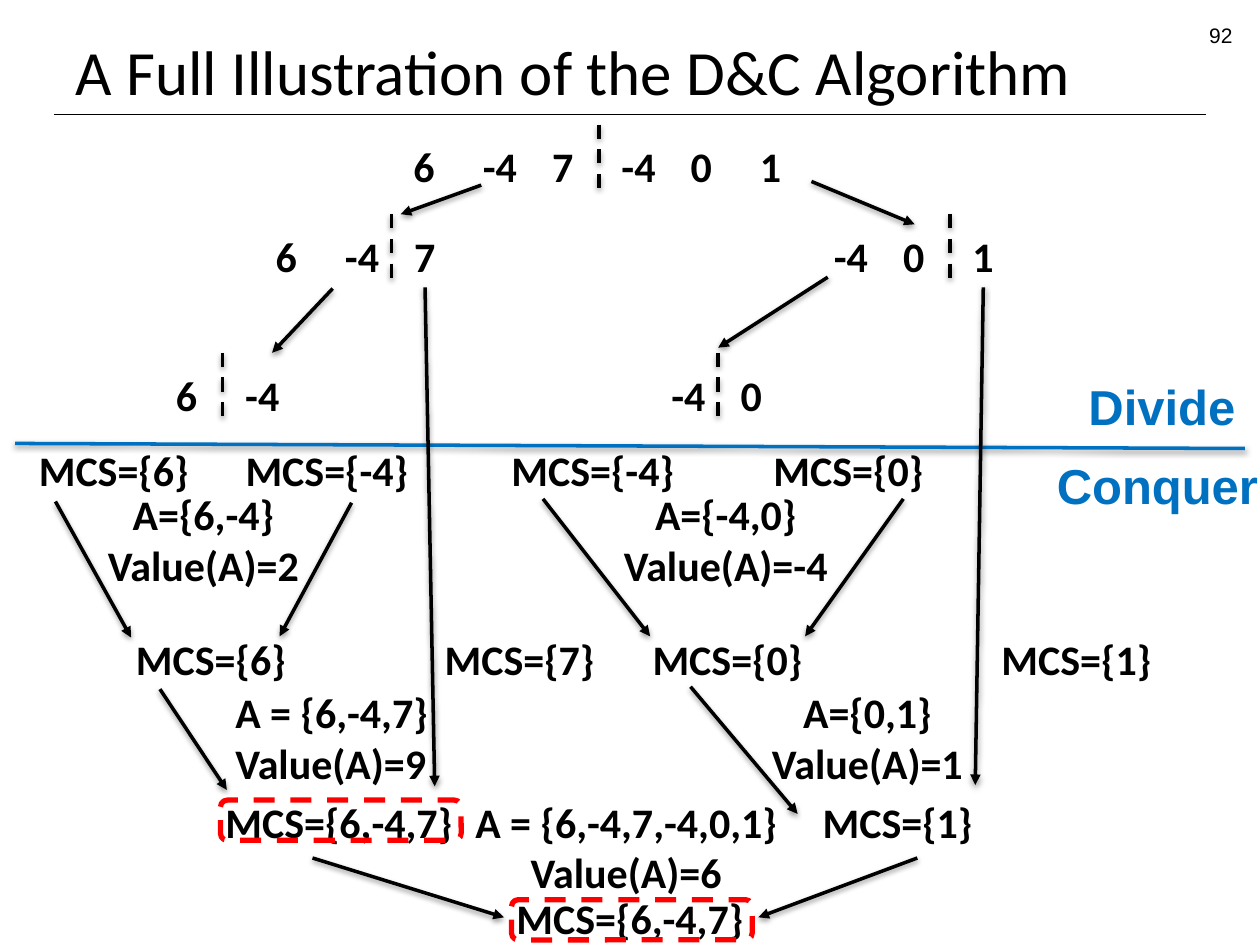
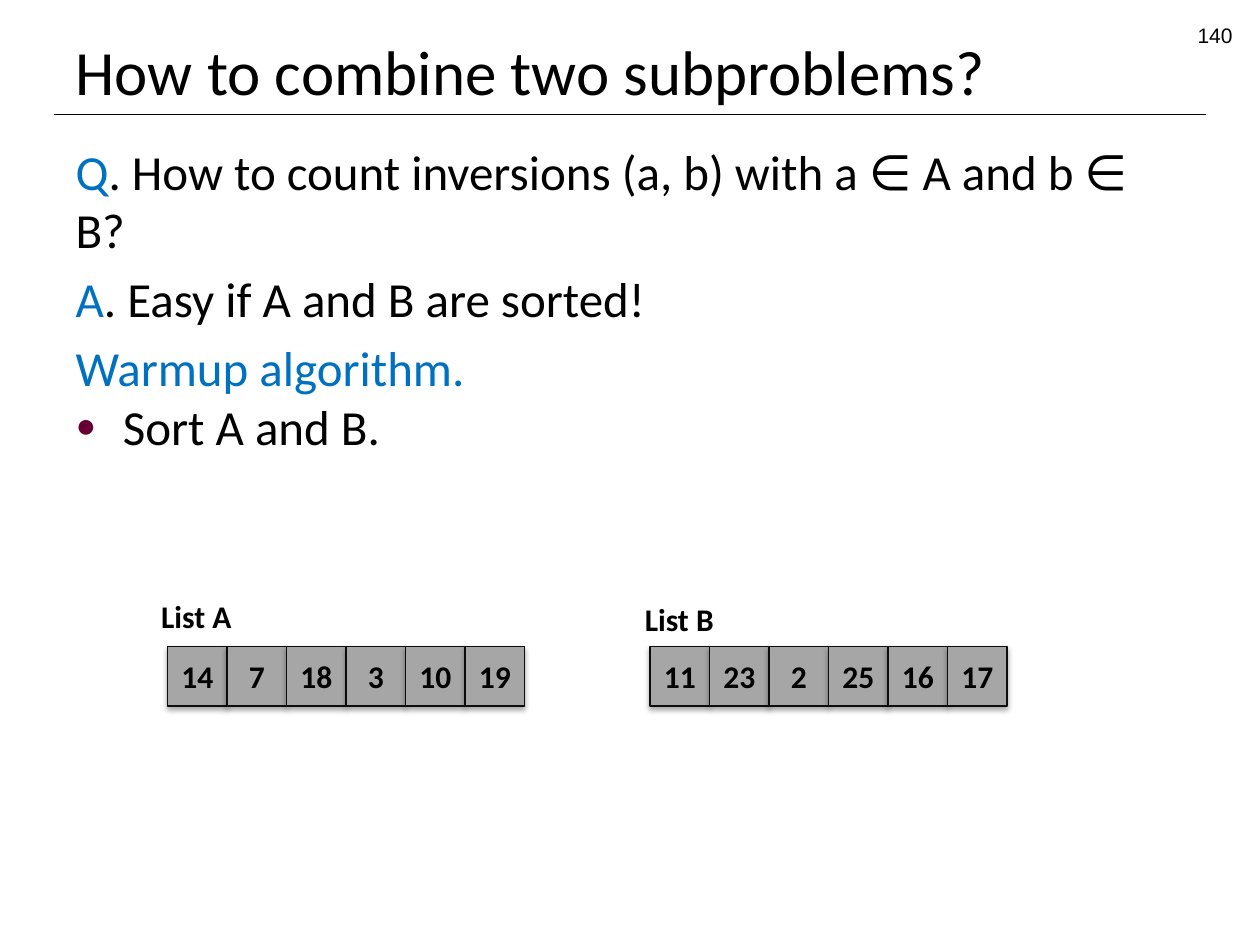
"""Build two lecture slides on divide and conquer: a recursion diagram and a combine step."""
from lxml import etree
from pptx import Presentation
from pptx import util as u
from pptx.dml import color as dml
from pptx.enum import dml as line_styles
from pptx.enum import shapes, text
from pptx.oxml import ns

Pt = u.Pt
hex_color = dml.RGBColor.from_string
BLACK, BLUE, RED, GRAY, PLUM = "000000", "0070C0", "FF0000", "A6A6A6", "660033"
DASH = line_styles.MSO_LINE.DASH
LEFT, CENTER, RIGHT = text.PP_ALIGN.LEFT, text.PP_ALIGN.CENTER, text.PP_ALIGN.RIGHT
SHADOW = (
    '<a:outerShdw xmlns:a="http://schemas.openxmlformats.org/drawingml/2006/main" '
    'blurRad="40000" dist="{}" dir="5400000" rotWithShape="0">'
    '<a:srgbClr val="000000"><a:alpha val="{}"/></a:srgbClr></a:outerShdw>'
)


def add_label(slide, box, lines, size=24, color=BLACK, font="Calibri", bold=True, align=LEFT):
    """Add an unwrapped text box with one paragraph per line."""
    label = slide.shapes.add_textbox(*[Pt(length) for length in box])
    frame = label.text_frame
    frame.word_wrap = False
    for index, line in enumerate(lines):
        paragraph = frame.add_paragraph() if index else frame.paragraphs[0]
        paragraph.alignment = align
        run = paragraph.add_run()
        run.text = line
        run.font.name, run.font.size, run.font.bold = font, Pt(size), bold
        run.font.color.rgb = hex_color(color)
    return label


def add_line(slide, points, color=BLACK, width=2, dash=None, arrow=False, shadow=True):
    """Add a straight line through (x1, y1, x2, y2)."""
    line = slide.shapes.add_connector(shapes.MSO_CONNECTOR.STRAIGHT, *[Pt(p) for p in points])
    line.line.color.rgb = hex_color(color)
    line.line.width = Pt(width)
    if dash:
        line.line.dash_style = dash
    properties = line._element.spPr
    if arrow:
        etree.SubElement(properties.find(ns.qn("a:ln")), ns.qn("a:tailEnd"), type="triangle")
    effects = etree.SubElement(properties, ns.qn("a:effectLst"))
    if shadow:
        effects.append(etree.fromstring(SHADOW.format(20000, 38000)))
    return line


presentation = Presentation()
presentation.slide_width, presentation.slide_height = Pt(720), Pt(540)

slides = []
for layout, title, number in [
    (5, "A Full Illustration of the D&C Algorithm", "92"),
    (1, "How to combine two subproblems?", "140"),
]:
    slide = presentation.slides.add_slide(presentation.slide_layouts[layout])
    slides.append(slide)
    heading = slide.shapes.title
    heading.left, heading.top, heading.width, heading.height = Pt(36), Pt(9.4), Pt(648), Pt(56)
    frame = heading.text_frame
    frame.auto_size = text.MSO_AUTO_SIZE.NONE
    frame.vertical_anchor = text.MSO_ANCHOR.BOTTOM
    frame.paragraphs[0].alignment = LEFT
    run = frame.paragraphs[0].add_run()
    run.text = title
    run.font.name, run.font.size = "Calibri", Pt(36)
    run.font.color.rgb = hex_color(BLACK)
    add_line(slide, (31, 65.5, 689, 65.5), width=0.75, shadow=False)
    page_number = add_label(slide, (543.6, 9.4, 167.8, 20), [number], 12,
                            font="Arial", bold=False, align=RIGHT)
    page_number.text_frame.word_wrap = True

illustration, combine = slides

NUMBER_STEP = 39.6
last_numbers = []
for left, top, values, split in [
    (229.2, 77, ["6", "-4", "7", "-4", "0", "1"], 3),
    (150.4, 128.2, ["6", "-4", "7"], 2),
    (469.4, 128.2, ["-4", "0", "1"], 2),
    (93.4, 207.4, ["6", "-4"], 1),
    (376.5, 207.4, ["-4", "0"], 1),
]:
    for index, value in enumerate(values):
        width = 34.6 if value == "-4" else 26.6
        label = add_label(illustration, (left + index * NUMBER_STEP, top, width, 36), [value])
    last_numbers.append(label)
    split_x = left + split * NUMBER_STEP - 5.8
    add_line(illustration, (split_x, top - 5.8, split_x, top + 31.9), dash=DASH)

add_line(illustration, (8.6, 253.4, 711.4, 256.3), BLUE)
add_label(illustration, (614.9, 211.7, 100.1, 41), ["Divide"], 28, BLUE, "Arial")
add_label(illustration, (596.9, 257, 131.8, 41), ["Conquer"], 28, BLUE, "Arial")

MCS_WIDTHS = {1: 100.8, 2: 108.7, 6: 145.4}
for left, top, members in [
    (15.1, 250.6, "6"), (133.2, 250.6, "-4"), (285.1, 250.6, "-4"), (434.9, 250.6, "0"),
    (70.6, 358.6, "6"), (247, 358.6, "7"), (365.8, 358.6, "0"), (565.2, 358.6, "1"),
    (121.7, 451.4, "6,-4,7"), (463, 451.4, "1"), (288, 506.2, "6,-4,7"),
]:
    best_set = add_label(illustration, (left, top, MCS_WIDTHS[len(members)], 36),
                         [f"MCS={{{members}}}"])
final_set = best_set

for left, top, width, crossing, value, align in [
    (54, 275.8, 124.6, "A={6,-4}", 2, CENTER),
    (348.5, 275.8, 132.5, "A={-4,0}", -4, CENTER),
    (127.4, 388.8, 125.3, "A = {6,-4,7}", 9, LEFT),
    (433.4, 388.8, 124.6, "A={0,1}", 1, CENTER),
    (263.5, 451.4, 188.6, "A = {6,-4,7,-4,0,1}", 6, CENTER),
]:
    add_label(illustration, (left, top, width, 65.5), [crossing, f"Value(A)={value}"], align=align)

for points in [
    (275, 105.8, 229, 122.4), (463.7, 103.7, 522.7, 128.2),
    (190.1, 164.9, 155.5, 201.6), (473, 158.4, 410.4, 198.7),
    (31.7, 286.6, 74.9, 364.3), (200.9, 287.3, 159.8, 363.6),
    (310.3, 285.1, 371.5, 363.6), (516.2, 285.1, 460.1, 363.6),
    (91.4, 393.8, 129.6, 451.4), (394.6, 392.4, 455.8, 465.1),
]:
    add_line(illustration, points, arrow=True)

for number, points in zip(last_numbers[1:3], [(243.4, 164.9, 248.4, 449.3),
                                              (562.3, 164.2, 557.3, 448.6)]):
    add_line(illustration, points, arrow=True).begin_connect(number, 2)

for side, points in [(1, (178.6, 490.3, 288, 524.2)), (3, (524.2, 490.3, 433.4, 524.2))]:
    add_line(illustration, points, arrow=True).end_connect(final_set, side)

for left, top in [(292.3, 514.1), (126, 457.2)]:
    highlight = illustration.shapes.add_shape(
        shapes.MSO_SHAPE.ROUNDED_RECTANGLE, Pt(left), Pt(top), Pt(137.5), Pt(23))
    highlight.shadow.inherit = False
    highlight.fill.background()
    highlight.line.color.rgb = hex_color(RED)
    highlight.line.width = Pt(3)
    highlight.line.dash_style = DASH

body = combine.placeholders[1]
body.left, body.top, body.width, body.height = Pt(36), Pt(77), Pt(648), Pt(448)
frame = body.text_frame
frame.auto_size = text.MSO_AUTO_SIZE.NONE
for index, (lead, rest, bulleted) in enumerate([
    ("Q", ". How to count inversions (a, b) with a ∈ A and b ∈ B?", False),
    ("A", ". Easy if A and B are sorted!", False),
    ("Warmup algorithm.", "", False),
    ("", "Sort A and B.", True),
]):
    paragraph = frame.add_paragraph() if index else frame.paragraphs[0]
    for words, color in [(lead, BLUE), (rest, BLACK)]:
        if words:
            run = paragraph.add_run()
            run.text = words
            run.font.name, run.font.size = "Calibri", Pt(28)
            run.font.color.rgb = hex_color(color)
    properties = paragraph._p.get_or_add_pPr()
    indent = Pt(27) if bulleted else 0
    properties.set("marL", str(indent))
    properties.set("indent", str(-indent))
    if bulleted:
        paragraph.space_before = Pt(0)
        bullet_color = etree.SubElement(properties, ns.qn("a:buClr"))
        etree.SubElement(bullet_color, ns.qn("a:srgbClr"), val=PLUM)
        etree.SubElement(properties, ns.qn("a:buSzPct"), val="70000")
        etree.SubElement(properties, ns.qn("a:buChar"), char="●")
    else:
        etree.SubElement(properties, ns.qn("a:buNone"))

CELL = 34
for name, label_left, label_top, left, values in [
    ("List A", 85, 337.7, 95.8, [14, 7, 18, 3, 10, 19]),
    ("List B", 361.4, 339.1, 371.5, [11, 23, 2, 25, 16, 17]),
]:
    add_label(combine, (label_left, label_top, 55, 29), [name], 18)
    for index, value in enumerate(values):
        cell = combine.shapes.add_shape(
            shapes.MSO_SHAPE.RECTANGLE, Pt(left + index * CELL), Pt(369.4), Pt(CELL), Pt(CELL))
        cell.shadow.inherit = False
        effects = cell._element.spPr.find(ns.qn("a:effectLst"))
        effects.append(etree.fromstring(SHADOW.format(23000, 35000)))
        cell.fill.solid()
        cell.fill.fore_color.rgb = hex_color(GRAY)
        cell.line.color.rgb = hex_color("0D0D0D")
        cell.line.width = Pt(0.75)
        frame = cell.text_frame
        frame.word_wrap = False
        frame.vertical_anchor = text.MSO_ANCHOR.MIDDLE
        frame.paragraphs[0].alignment = CENTER
        run = frame.paragraphs[0].add_run()
        run.text = str(value)
        run.font.name, run.font.size, run.font.bold = "Calibri", Pt(18), True
        run.font.color.rgb = hex_color(BLACK)

presentation.save("out.pptx")
